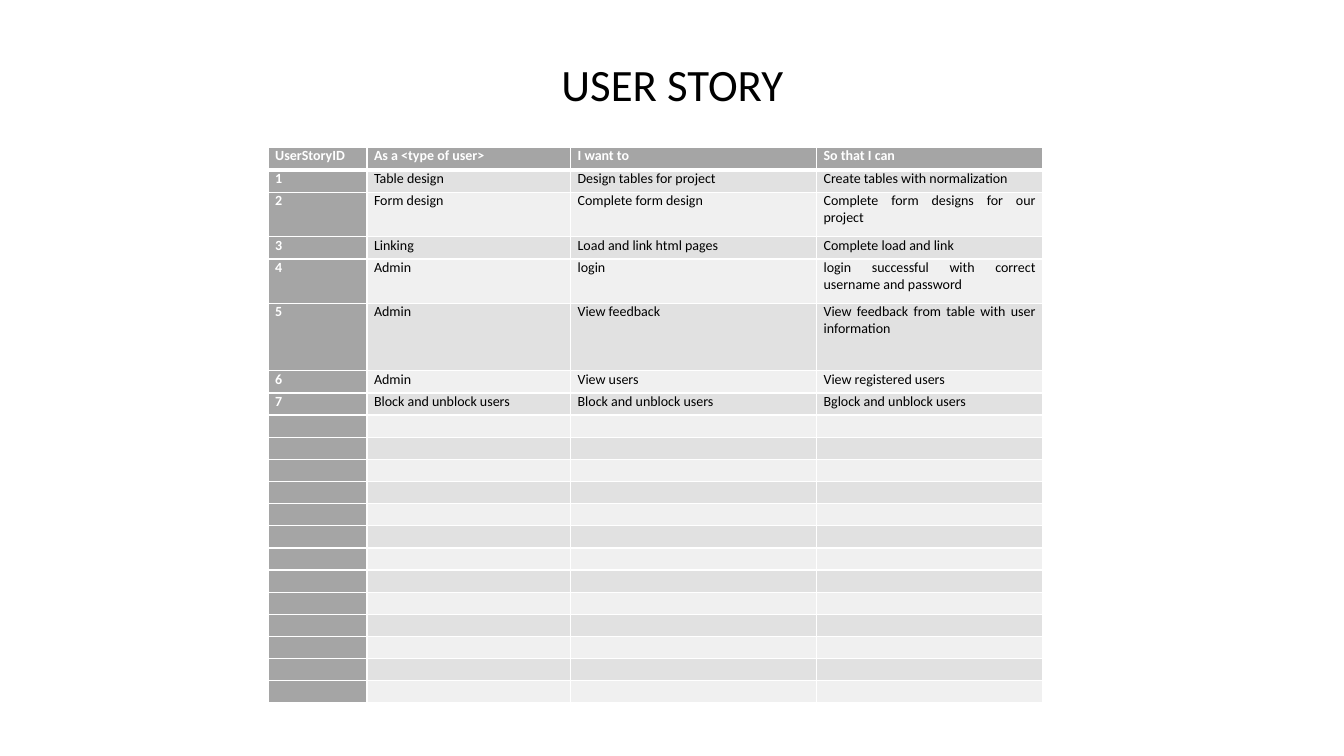
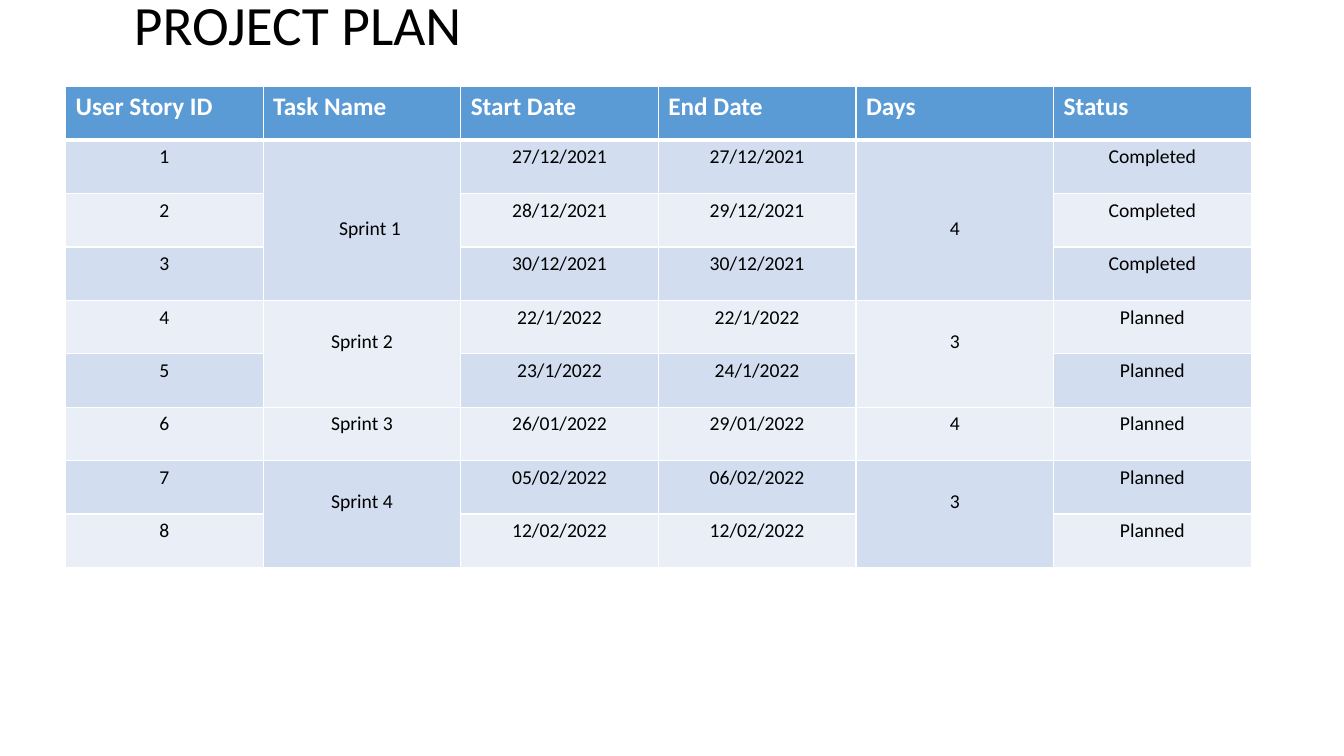
"""Build the user story and project plan slides."""
from lxml.etree import SubElement
from pptx import Presentation
from pptx.dml.color import RGBColor
from pptx.enum.text import MSO_ANCHOR, PP_ALIGN
from pptx.oxml.ns import qn
from pptx.util import Inches, Pt

FONT = "Calibri"
BLACK = RGBColor(0x00, 0x00, 0x00)
WHITE = RGBColor(0xFF, 0xFF, 0xFF)
GRAY = RGBColor(0xA5, 0xA5, 0xA5)
GRAY_BANDS = (RGBColor(0xF0, 0xF0, 0xF0), RGBColor(0xE1, 0xE1, 0xE1))
BLUE = RGBColor(0x5B, 0x9B, 0xD5)
BLUE_BANDS = (RGBColor(0xEA, 0xEF, 0xF7), RGBColor(0xD2, 0xDE, 0xEF))

prs = Presentation()
prs.slide_width, prs.slide_height = Inches(13.33), Inches(7.5)


def add_titled_slide(title, left, top, width, height, size, align):
    s = prs.slides.add_slide(prs.slide_layouts[6])
    box = s.shapes.add_textbox(Inches(left), Inches(top), Inches(width), Inches(height))
    tf = box.text_frame
    tf.word_wrap = True
    tf.vertical_anchor = MSO_ANCHOR.MIDDLE
    p = tf.paragraphs[0]
    p.text = title
    p.alignment = align
    p.line_spacing = 0.9
    p.font.name, p.font.size, p.font.color.rgb = FONT, Pt(size), BLACK
    return s


def add_grid(s, left, top, widths, heights, rows, accent, bands, sizes, aligns, head_cols):
    frame = s.shapes.add_table(len(heights), len(widths), Inches(left), Inches(top),
                               Inches(sum(widths)), Inches(sum(heights)))
    table = frame.table
    for column, width in zip(table.columns, widths):
        column.width = Inches(width)
    for r, height in enumerate(heights):
        table.rows[r].height = Inches(height)
        for c in range(len(widths)):
            cell = table.cell(r, c)
            is_head = r == 0 or c < head_cols
            tc_pr = cell._tc.get_or_add_tcPr()
            for side in ("lnL", "lnR", "lnT", "lnB"):
                thick = (r, side) in ((0, "lnB"), (1, "lnT"))
                ln = SubElement(tc_pr, qn("a:" + side), w=str(Pt(3 if thick else 1)))
                SubElement(SubElement(ln, qn("a:solidFill")), qn("a:srgbClr"), val=str(WHITE))
            cell.fill.solid()
            cell.fill.fore_color.rgb = accent if is_head else bands[r % 2]
            size = sizes[min(r, 1)]
            p = cell.text_frame.paragraphs[0]
            p.alignment = aligns[min(r, 1)]
            p.font.name, p.font.size, p.font.bold = FONT, Pt(size), is_head
            p.font.color.rgb = WHITE if is_head else BLACK
            text = rows[r][c] if r < len(rows) else ""
            if text:
                p.add_run().text = text
            else:
                SubElement(p._p, qn("a:endParaRPr"), sz=str(size * 100))
    return table


stories = [
    ("UserStoryID", "As a <type of user>", "I want to", "So that I can"),
    ("1", "Table design", "Design tables for project", "Create tables with normalization"),
    ("2", "Form design", "Complete form design", "Complete form designs for our project"),
    ("3", "Linking", "Load and link html pages", "Complete load and link"),
    ("4", "Admin", "login", "login successful with correct username and password"),
    ("5", "Admin", "View feedback", "View feedback from table with user information"),
    ("6", "Admin", "View users", "View registered users"),
    ("7", "Block and unblock users", "Block and unblock users", "Bglock and unblock users"),
]
story_heights = [0.23, 0.22, 0.44, 0.22, 0.44, 0.67] + [0.22] * 15

s = add_titled_slide("USER STORY", 0.92, 0.4, 11.5, 0.92, 32, PP_ALIGN.CENTER)
table = add_grid(s, 2.66, 1.46, (0.98, 2.02, 2.44, 2.24), story_heights, stories, GRAY,
                 GRAY_BANDS, (10, 10), (PP_ALIGN.JUSTIFY, PP_ALIGN.JUSTIFY), 1)
table.first_col = True
for cell in table.iter_cells():
    cell.margin_left = cell.margin_right = Inches(0.07)
    cell.margin_top = cell.margin_bottom = 0

plan = [
    ("User Story ID", "Task Name", "Start Date", "End Date", "Days", "Status"),
    ("1", "Sprint 1", "27/12/2021", "27/12/2021", "4", "Completed"),
    ("2", "", "28/12/2021", "29/12/2021", "", "Completed"),
    ("3", "", "30/12/2021", "30/12/2021", "", "Completed"),
    ("4", "Sprint 2", "22/1/2022", "22/1/2022", "3", "Planned"),
    ("5", "", "23/1/2022", "24/1/2022", "", "Planned"),
    ("6", "Sprint 3", "26/01/2022", "29/01/2022", "4", "Planned"),
    ("7", "Sprint 4", "05/02/2022", "06/02/2022", "3", "Planned"),
    ("8", "", "12/02/2022", "12/02/2022", "", "Planned"),
]

s = add_titled_slide("PROJECT PLAN", 1.23, 0, 11.19, 0.54, 39.6, PP_ALIGN.LEFT)
table = add_grid(s, 0.65, 0.86, [1.96] * 6, [0.53] * 9, plan, BLUE, BLUE_BANDS,
                 (18, 14), (PP_ALIGN.LEFT, PP_ALIGN.CENTER), 0)
for first, last, top_margin in ((1, 3, 0.76), (4, 5, 0.29), (7, 8, 0.29)):
    for c in (1, 4):
        cell = table.cell(first, c)
        cell.merge(table.cell(last, c))
        cell.margin_top = Inches(top_margin)
table.cell(1, 1).margin_left = Inches(0.26)

prs.save("out.pptx")
